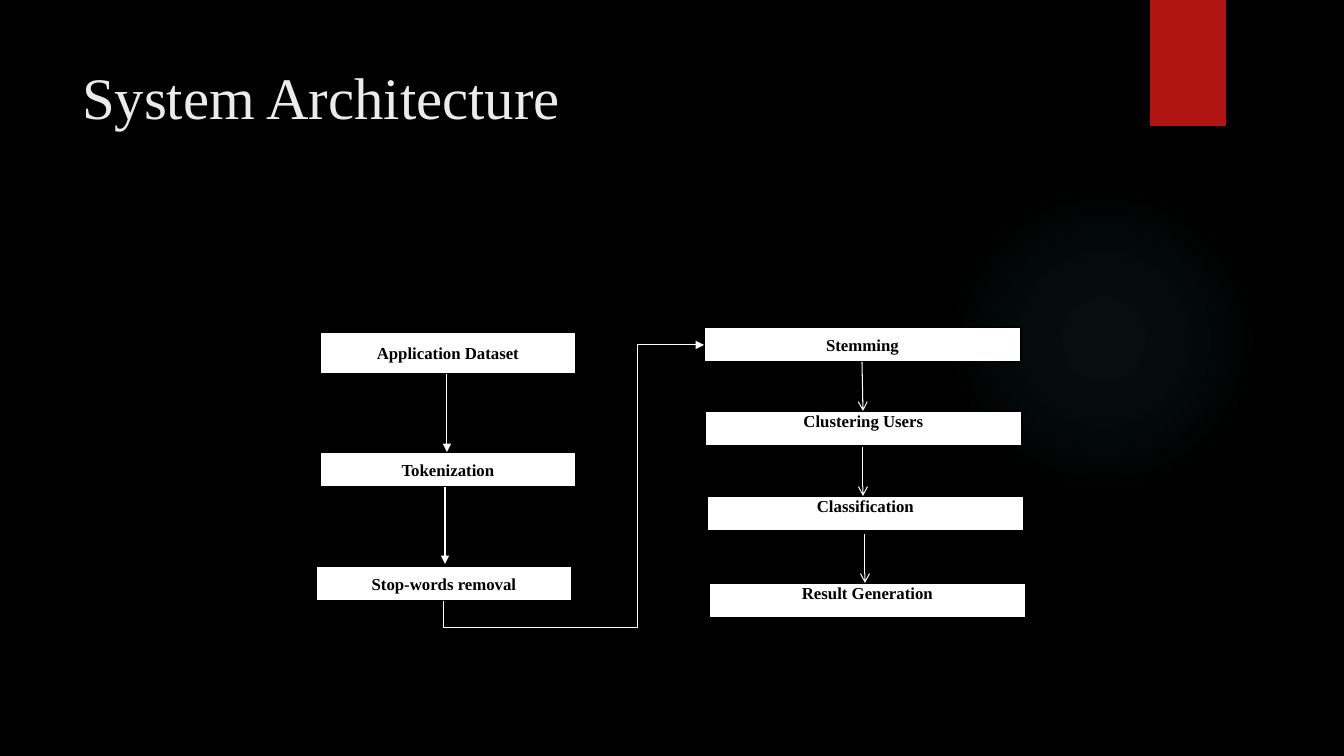
"""Build the System Architecture slide with its two-column processing flow."""
from dataclasses import dataclass

from lxml.etree import SubElement
from pptx import Presentation
from pptx.dml.color import RGBColor
from pptx.enum.shapes import MSO_CONNECTOR, MSO_SHAPE
from pptx.enum.text import MSO_ANCHOR, PP_ALIGN
from pptx.oxml import parse_xml
from pptx.oxml.ns import nsdecls, qn
from pptx.util import Pt


@dataclass(frozen=True)
class Theme:
    font: str = "Times New Roman"
    black: RGBColor = RGBColor(0, 0, 0)
    white: RGBColor = RGBColor(255, 255, 255)
    heading: RGBColor = RGBColor(0xEB, 0xEB, 0xEB)
    ribbon: RGBColor = RGBColor(0xB0, 0x15, 0x13)
    glow: str = "50B9C1"
    heading_size: Pt = Pt(42)
    step_size: Pt = Pt(12)
    border: Pt = Pt(1.5)
    arrow: Pt = Pt(0.75)


theme = Theme()
SCALE = 12192000 / 1344


def px(*lengths):
    return [round(length * SCALE) for length in lengths]


def add_arrow(shapes, kind, ends, head):
    arrow = shapes.add_connector(kind, *px(*ends))
    arrow.line.color.rgb = theme.white
    arrow.line.width = theme.arrow
    properties = arrow.line._get_or_add_ln()
    SubElement(properties, qn("a:tailEnd"), type=head)
    SubElement(properties.getparent(), qn("a:effectLst"))
    return properties.getparent()


deck = Presentation()
deck.slide_width, deck.slide_height = px(1344, 756)
slide = deck.slides.add_slide(deck.slide_layouts[5])
slide.background.fill.solid()
slide.background.fill.fore_color.rgb = theme.black

glow = slide.shapes.add_shape(MSO_SHAPE.OVAL, *px(949, 184, 310, 310))
glow.shadow.inherit = False
glow.line.fill.background()
glow.fill.background()
stops = "".join(
    f'<a:gs pos="{position}000"><a:srgbClr val="{theme.glow}">'
    f'<a:alpha val="{opacity}000"/></a:srgbClr></a:gs>'
    for position, opacity in [(0, 7), (36, 6), (69, 0)]
)
gradient = parse_xml(
    f'<a:gradFill {nsdecls("a")}><a:gsLst>{stops}</a:gsLst><a:path path="circle">'
    '<a:fillToRect l="50000" t="50000" r="50000" b="50000"/></a:path></a:gradFill>'
)
no_fill = glow.element.spPr.find(qn("a:noFill"))
no_fill.getparent().replace(no_fill, gradient)

ribbon = slide.shapes.add_shape(MSO_SHAPE.RECTANGLE, *px(1150, 0, 76, 126))
ribbon.shadow.inherit = False
ribbon.line.fill.background()
ribbon.fill.solid()
ribbon.fill.fore_color.rgb = theme.ribbon

heading = slide.shapes.title
heading.left, heading.top, heading.width, heading.height = px(72, 50, 1037, 154)
heading_frame = heading.text_frame
heading_frame.word_wrap = True
heading_frame.vertical_anchor = MSO_ANCHOR.TOP
heading_frame.margin_top = px(11)[0]
heading_frame.paragraphs[0].alignment = PP_ALIGN.LEFT
heading_run = heading_frame.paragraphs[0].add_run()
heading_run.text = "System Architecture"
heading_run.font.name = theme.font
heading_run.font.size = theme.heading_size
heading_run.font.color.rgb = theme.heading

flow = slide.shapes.add_group_shape().shapes
steps = [
    ("Application Dataset", 320, 332, 256, 42, MSO_ANCHOR.MIDDLE),
    ("Tokenization", 320, 452, 256, 35, MSO_ANCHOR.MIDDLE),
    ("Stop-words removal", 316, 566, 256, 35, MSO_ANCHOR.MIDDLE),
    ("Stemming", 704, 327, 317, 35, MSO_ANCHOR.MIDDLE),
    ("Clustering Users", 705, 411, 317, 35, MSO_ANCHOR.TOP),
    ("Classification", 707, 496, 317, 35, MSO_ANCHOR.TOP),
    ("Result Generation", 709, 583, 317, 35, MSO_ANCHOR.TOP),
]
for label, left, top, width, height, anchor in steps:
    step = flow.add_shape(MSO_SHAPE.RECTANGLE, *px(left, top, width, height))
    step.shadow.inherit = False
    step.fill.solid()
    step.fill.fore_color.rgb = theme.white
    step.line.color.rgb = theme.black
    step.line.width = theme.border
    frame = step.text_frame
    frame.word_wrap = True
    frame.vertical_anchor = anchor
    frame.margin_top = frame.margin_bottom = 0
    frame.paragraphs[0].alignment = PP_ALIGN.CENTER
    run = frame.paragraphs[0].add_run()
    run.text = label
    run.font.name = theme.font
    run.font.size = theme.step_size
    run.font.bold = True
    run.font.color.rgb = theme.black

for ends, head in [
    ((447, 374, 447, 452), "triangle"),
    ((445, 487, 445, 564), "triangle"),
    ((862, 362, 863, 411), "arrow"),
    ((863, 447, 863, 496), "arrow"),
    ((865, 534, 865, 583), "arrow"),
]:
    add_arrow(flow, MSO_CONNECTOR.STRAIGHT, ends, head)

column_link = add_arrow(flow, MSO_CONNECTOR.ELBOW, (702, 603, 446, 343), "triangle")
column_link.find(qn("a:xfrm")).set("rot", "5400000")
bend = column_link.find(qn("a:prstGeom"))
bend.set("prst", "bentConnector4")
adjustments = bend.find(qn("a:avLst"))
for name, share in [("adj1", -10300), ("adj2", 74600)]:
    SubElement(adjustments, qn("a:gd"), name=name, fmla=f"val {share}")

deck.save("out.pptx")
